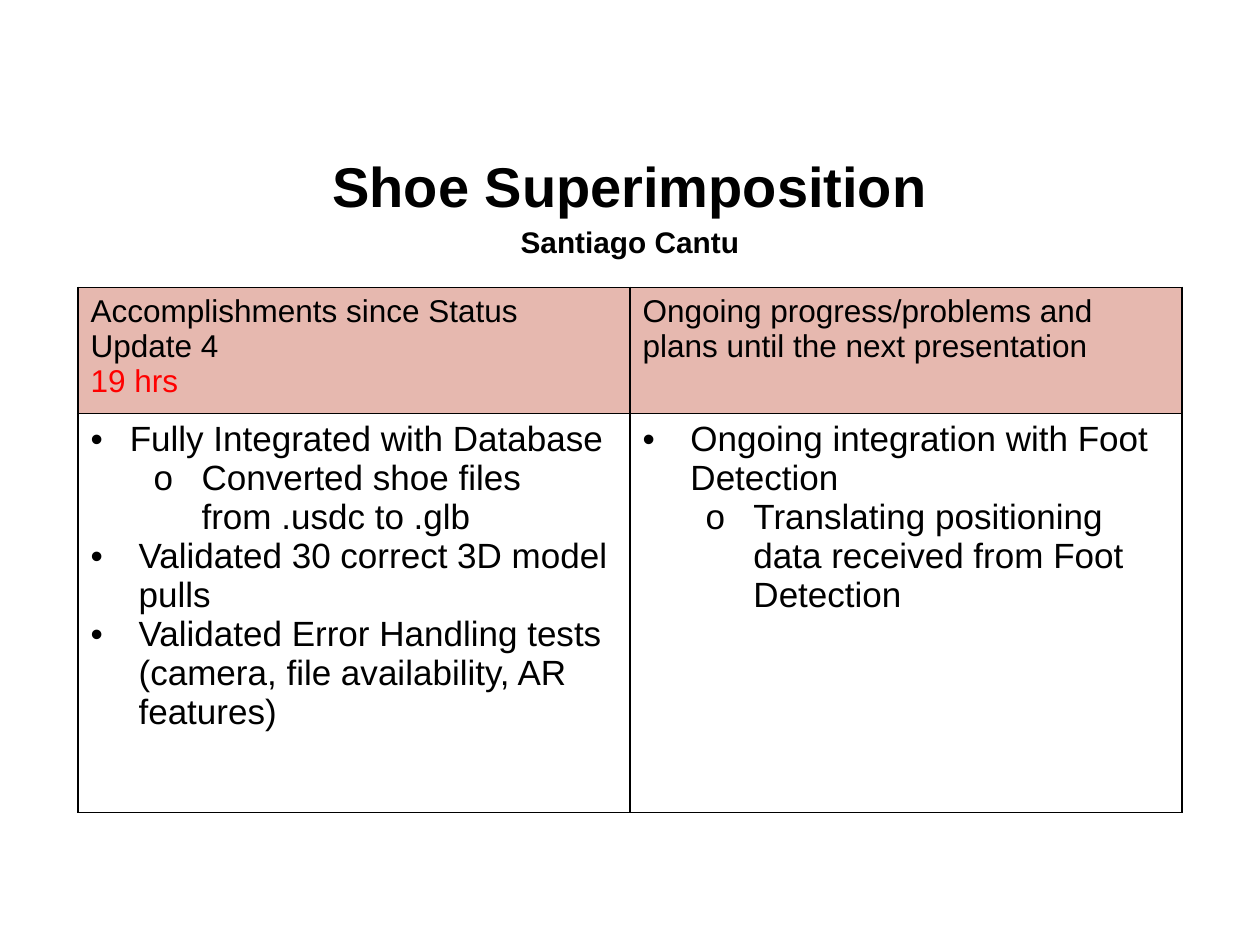
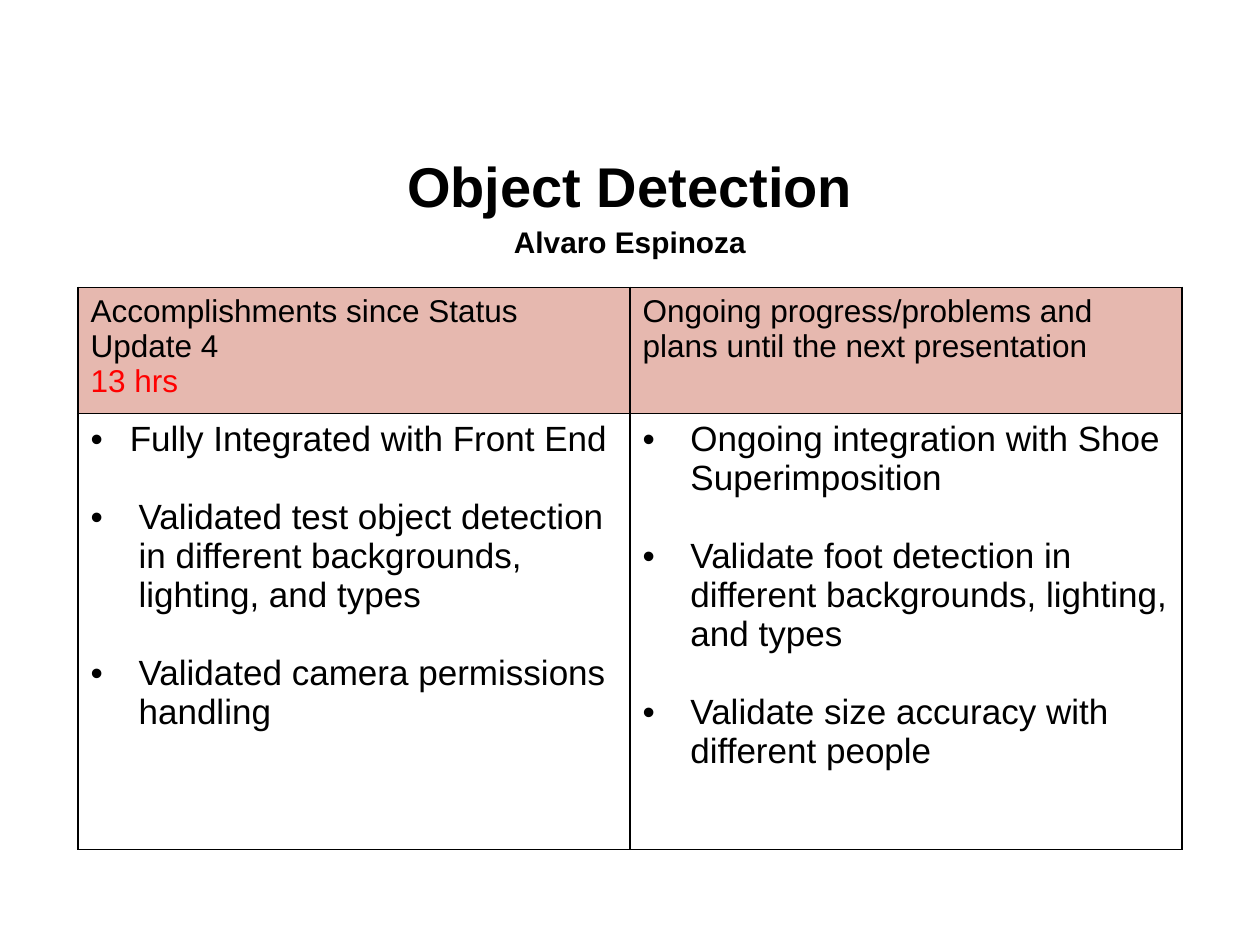
import pptx
import pptx.dml.color
import pptx.enum.text
import pptx.oxml.ns
import pptx.util
from lxml import etree

Inches, Pt = pptx.util.Inches, pptx.util.Pt
RGBColor = pptx.dml.color.RGBColor
qn = pptx.oxml.ns.qn

BLACK = RGBColor(0x00, 0x00, 0x00)
RED = RGBColor(0xFF, 0x00, 0x00)
HEADER_PINK = RGBColor(0xE6, 0xB8, 0xAF)

TITLE = dict(size=Pt(32), bold=True)
PRESENTER = dict(size=Pt(17), bold=True)
HEADER = dict(size=Pt(18), bold=False)
BODY = dict(size=Pt(20), bold=False)

# Bullet styles: character, left margin, hanging indent, level
TIGHT = ("•", 0.31, 0.31, 0)
WIDE = ("•", 0.38, 0.38, 0)
SUB = ("o", 0.88, 0.38, 1)

DONE_HEADING = "Accomplishments since Status Update 4"
PLAN_HEADING = "Ongoing progress/problems and plans until the next presentation"
HEADER_HEIGHT = 0.94
COLUMN_WIDTH = 4.38

STATUS_SLIDES = [
    dict(
        title="Shoe Superimposition", presenter="Santiago Cantu", hours="19 hrs",
        body_height=3.17, gap=0,
        done=[
            (TIGHT, "Fully Integrated with Database"),
            (SUB, "Converted shoe files from .usdc to .glb"),
            (WIDE, "Validated 30 correct 3D model pulls"),
            (WIDE, "Validated Error Handling tests (camera, file availability, AR features)"),
        ],
        plans=[
            (WIDE, "Ongoing integration with Foot Detection"),
            (SUB, "Translating positioning data received from Foot Detection"),
        ],
    ),
    dict(
        title="Object Detection", presenter="Alvaro Espinoza", hours="13 hrs",
        body_height=3.46, gap=22.3,
        done=[
            (TIGHT, "Fully Integrated with Front End"),
            (WIDE, "Validated test object detection in different backgrounds, lighting, and types"),
            (WIDE, "Validated camera permissions handling"),
        ],
        plans=[
            (WIDE, "Ongoing integration with Shoe Superimposition"),
            (WIDE, "Validate foot detection in different backgrounds, lighting, and types"),
            (WIDE, "Validate size accuracy with different people"),
        ],
    ),
]


def next_paragraph(tf, index):
    return tf.paragraphs[0] if index == 0 else tf.add_paragraph()


def add_run(p, text, style, color=BLACK):
    r = p.add_run()
    r.text = text
    for name, value in dict(style, name="Arial").items():
        setattr(r.font, name, value)
    r.font.color.rgb = color


def set_bullet(p, bullet):
    char, left, hanging, level = bullet
    p.level = level
    pPr = p._p.get_or_add_pPr()
    pPr.set("marL", str(Inches(left)))
    pPr.set("indent", str(-Inches(hanging)))
    etree.SubElement(pPr, qn("a:buFont")).set("typeface", "Arial")
    etree.SubElement(pPr, qn("a:buChar")).set("char", char)


def set_borders(cell):
    tcPr = cell._tc.get_or_add_tcPr()
    for side in ("lnL", "lnR", "lnT", "lnB"):
        ln = etree.SubElement(tcPr, qn(f"a:{side}"), w=str(Pt(1)))
        fill = etree.SubElement(ln, qn("a:solidFill"))
        etree.SubElement(fill, qn("a:srgbClr"), val=str(BLACK))


def add_title(s, title, presenter):
    sp = s.shapes.add_textbox(Inches(0.5), Inches(1.15), Inches(9), Inches(0.88))
    tf = sp.text_frame
    tf.word_wrap = True
    tf.vertical_anchor = pptx.enum.text.MSO_ANCHOR.MIDDLE
    for i, (text, style) in enumerate([(title, TITLE), (presenter, PRESENTER)]):
        p = next_paragraph(tf, i)
        p.alignment = pptx.enum.text.PP_ALIGN.CENTER
        p.line_spacing = 1.15
        add_run(p, text, style)


def fill_header(cell, lines):
    """Write (text, colour) lines into a heading cell."""
    for i, (text, color) in enumerate(lines):
        add_run(next_paragraph(cell.text_frame, i), text, HEADER, color)
    cell.fill.solid()
    cell.fill.fore_color.rgb = HEADER_PINK


def fill_body(cell, items, gap):
    """Write (bullet, text) items, with gap points between them."""
    for i, (bullet, text) in enumerate(items):
        p = next_paragraph(cell.text_frame, i)
        if i and gap:
            p.space_before = Pt(gap)
        set_bullet(p, bullet)
        add_run(p, text, BODY)
    cell.fill.background()


def add_status_table(s, hours, done, plans, body_height, gap):
    frame = s.shapes.add_table(2, 2, Inches(0.62), Inches(2.28), Inches(2 * COLUMN_WIDTH),
                               Inches(HEADER_HEIGHT + body_height))
    table = frame.table
    table.first_row = table.horz_banding = False
    for column in table.columns:
        column.width = Inches(COLUMN_WIDTH)
    for row, height in zip(table.rows, (HEADER_HEIGHT, body_height)):
        row.height = Inches(height)
    for cell in table.iter_cells():
        set_borders(cell)
    fill_header(table.cell(0, 0), [(DONE_HEADING, BLACK), (hours, RED)])
    fill_header(table.cell(0, 1), [(PLAN_HEADING, BLACK)])
    for col, items in enumerate((done, plans)):
        fill_body(table.cell(1, col), items, gap)


def main():
    prs = pptx.Presentation()
    prs.slide_width, prs.slide_height = Inches(10), Inches(7.5)
    for status in STATUS_SLIDES:
        s = prs.slides.add_slide(prs.slide_layouts[6])
        add_title(s, status["title"], status["presenter"])
        add_status_table(s, status["hours"], status["done"], status["plans"],
                         status["body_height"], status["gap"])
    prs.save("out.pptx")


if __name__ == "__main__":
    main()
